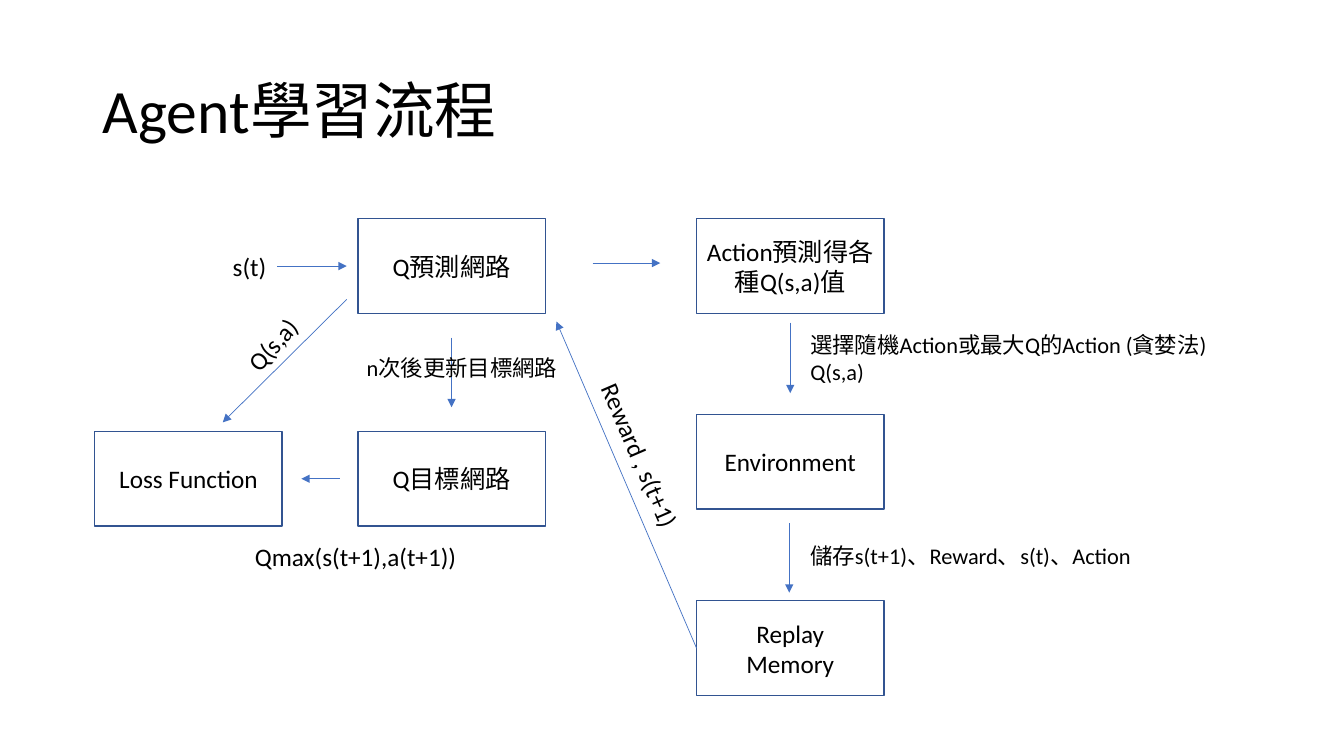
from lxml import etree
from pptx import Presentation
from pptx import util as u
from pptx.dml.color import RGBColor
from pptx.enum import shapes, text
from pptx.oxml import ns

COLUMNS, ROWS = 133.33, 75
BOX_WIDTH, BOX_HEIGHT = 18.6, 9.4
LEFT, MIDDLE, RIGHT = 9.4, 35.5, 69.1
TOP, LOWER, ENVIRONMENT, MEMORY = 21.7, 42.8, 41.1, 59.6


def color(value):
    return RGBColor.from_string(value)


def write(frame, content, size=18, align=text.PP_ALIGN.LEFT, spacing=1.0,
          anchor=text.MSO_ANCHOR.TOP, wrap=True):
    frame.word_wrap = wrap
    frame.vertical_anchor = anchor
    for index, line in enumerate(content.split("\n")):
        para = frame.add_paragraph() if index else frame.paragraphs[0]
        para.alignment = align
        para.line_spacing = spacing
        span = para.add_run()
        span.text = line
        span.font.size = u.Pt(size)
        span.font.name = "Calibri"
        span.font.color.rgb = color("000000")


class FlowPage:
    border, arrow_color = "325491", "4472C4"

    def __init__(self, deck):
        self.page = deck.slides.add_slide(deck.slide_layouts[6])
        self.column = deck.slide_width / COLUMNS
        self.row = deck.slide_height / ROWS

    def place(self, column, row):
        return round(column * self.column), round(row * self.row)

    def label(self, content, column, row, width, height, turn=0, **style):
        box = self.page.shapes.add_textbox(*self.place(column, row), *self.place(width, height))
        box.rotation = turn
        write(box.text_frame, content, **style)

    def step(self, content, column, row):
        box = self.page.shapes.add_shape(
            shapes.MSO_SHAPE.RECTANGLE, *self.place(column, row),
            *self.place(BOX_WIDTH, BOX_HEIGHT))
        box.shadow.inherit = False
        box.fill.background()
        box.line.color.rgb = color(self.border)
        box.line.width = u.Pt(1)
        write(box.text_frame, content, align=text.PP_ALIGN.CENTER, anchor=text.MSO_ANCHOR.MIDDLE)

    def arrow(self, start, end):
        line = self.page.shapes.add_connector(
            shapes.MSO_CONNECTOR.STRAIGHT, *self.place(*start), *self.place(*end))
        line.line.color.rgb = color(self.arrow_color)
        line.line.width = u.Pt(0.5)
        head = etree.SubElement(line.line._get_or_add_ln(), ns.qn("a:tailEnd"))
        head.set("type", "triangle")
        etree.SubElement(line._element.spPr, ns.qn("a:effectLst"))


deck = Presentation()
deck.slide_width, deck.slide_height = u.Inches(13.33), u.Inches(7.5)
flow = FlowPage(deck)

flow.label("Agent學習流程", 9.2, 4, 115, 14.5, size=44, spacing=0.9,
           anchor=text.MSO_ANCHOR.MIDDLE)

for content, column, row in (
    ("Q預測網路", MIDDLE, TOP),
    ("Action預測得各種Q(s,a)值", RIGHT, TOP),
    ("Environment", RIGHT, ENVIRONMENT),
    ("Replay\nMemory", RIGHT, MEMORY),
    ("Q目標網路", MIDDLE, LOWER),
    ("Loss Function", LEFT, LOWER),
):
    flow.step(content, column, row)

for start, end in (
    ((27.5, 26.4), (34.4, 26.4)),
    ((58.8, 26.1), (65.5, 26.1)),
    ((78.4, 32), (78.4, 39)),
    ((78.3, 51.9), (78.3, 58.8)),
    ((44.8, 33.5), (44.8, 40.4)),
    ((34.4, 29.7), (22.1, 41.9)),
    ((33.7, 47.5), (29.9, 47.5)),
    ((RIGHT, 64.3), (55.2, 31.9)),
):
    flow.arrow(start, end)

for content, column, row, width, height in (
    ("選擇隨機Action或最大Q的Action (貪婪法)\nQ(s,a)", 79.4, 32.4, 41.8, 6.4),
    ("儲存s(t+1)、Reward、s(t)、Action", 79.4, 53.3, 34.3, 3.7),
    ("n次後更新目標網路", 35.4, 34.6, 21.1, 3.7),
):
    flow.label(content, column, row, width, height, size=16)

for content, column, row, width, turn in (
    ("s(t)", 22.1, 24.4, 5.4, 0),
    ("Q(s,a)", 23, 32.1, 8.1, 311.8),
    ("Qmax(s(t+1),a(t+1))", 24.3, 53.2, 22.2, 0),
    ("Reward , s(t+1)", 54.8, 43.3, 17.5, 66.6),
):
    flow.label(content, column, row, width, 4, turn, wrap=False)

deck.save("out.pptx")
